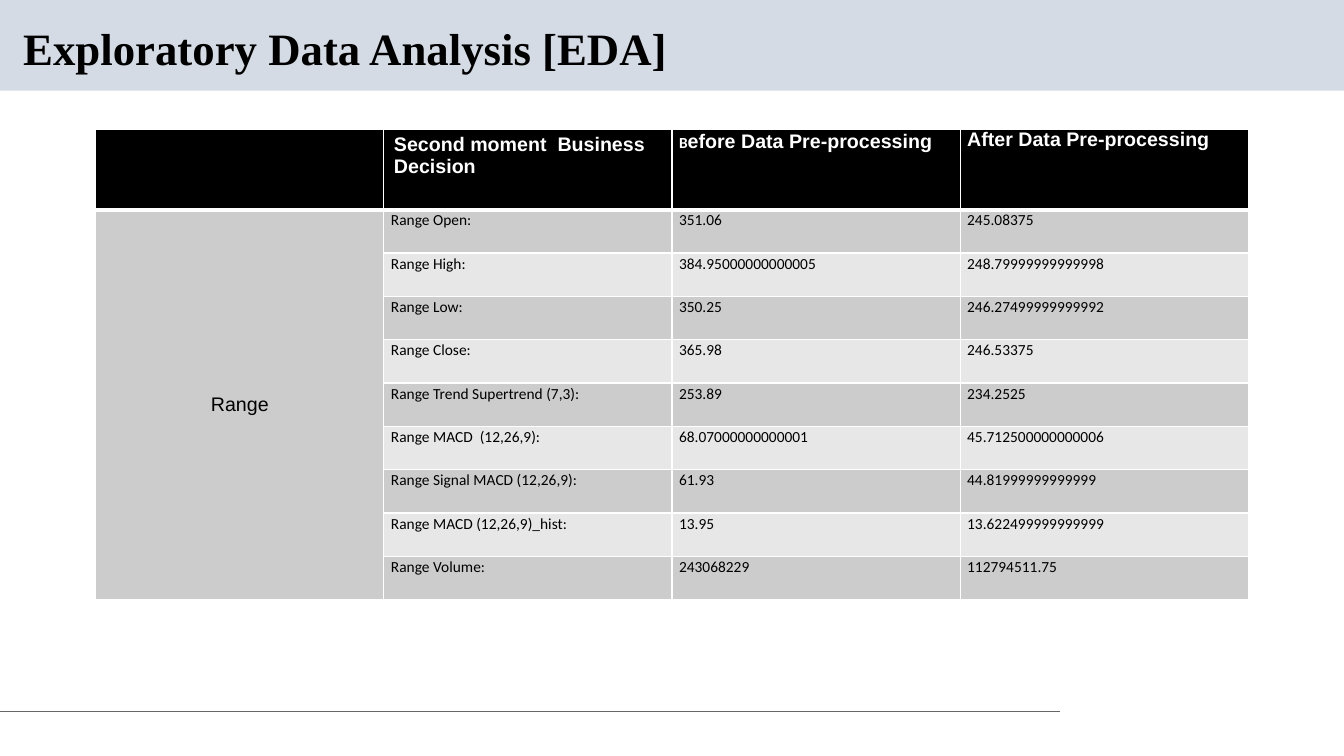
from lxml.etree import SubElement
from pptx import Presentation
from pptx.dml.color import RGBColor
from pptx.enum.shapes import MSO_CONNECTOR, MSO_SHAPE
from pptx.enum.text import MSO_ANCHOR, PP_ALIGN
from pptx.oxml.ns import qn
from pptx.util import Inches, Pt

BLACK = RGBColor(0x00, 0x00, 0x00)
WHITE = RGBColor(0xFF, 0xFF, 0xFF)
BAND = RGBColor(0xD5, 0xDB, 0xE5)
RULE = RGBColor(0x66, 0x66, 0x66)
ROW_FILLS = (RGBColor(0xCC, 0xCC, 0xCC), RGBColor(0xE7, 0xE7, 0xE7))

RANGES = [
    ("Range Open:", "351.06", "245.08375"),
    ("Range High:", "384.95000000000005", "248.79999999999998"),
    ("Range Low:", "350.25", "246.27499999999992"),
    ("Range Close:", "365.98", "246.53375"),
    ("Range Trend Supertrend (7,3):", "253.89", "234.2525"),
    ("Range MACD  (12,26,9):", "68.07000000000001", "45.712500000000006"),
    ("Range Signal MACD (12,26,9):", "61.93", "44.81999999999999"),
    ("Range MACD (12,26,9)_hist:", "13.95", "13.622499999999999"),
    ("Range Volume:", "243068229", "112794511.75"),
]


def add_run(p, text, size, font, color, bold=False):
    """Append one formatted run to a paragraph."""
    r = p.add_run()
    r.text = text
    r.font.size = Pt(size)
    r.font.name = font
    r.font.bold = bold
    r.font.color.rgb = color


def add_band(slide):
    """Place the title band behind everything else."""
    sp = slide.shapes.add_shape(MSO_SHAPE.RECTANGLE, 0, 0, Inches(13.33), Inches(0.9))
    sp.shadow.inherit = False
    sp.fill.solid()
    sp.fill.fore_color.rgb = BAND
    sp.line.fill.background()
    slide.shapes._spTree.insert(2, sp._element)


def add_footer_rule(slide):
    """Draw the thin line near the foot of the slide."""
    line = slide.shapes.add_connector(
        MSO_CONNECTOR.STRAIGHT, 0, Inches(7.06), Inches(10.51), Inches(7.06))
    line.line.color.rgb = RULE
    line.line.width = Pt(0.75)
    SubElement(line._element.spPr, qn("a:effectLst"))


def set_title(slide, text):
    """Move and fill the title placeholder."""
    title = slide.shapes.title
    title.left, title.top = Inches(0.13), Inches(0.21)
    title.width, title.height = Inches(10.11), Inches(0.59)
    tf = title.text_frame
    tf.word_wrap = True
    tf.vertical_anchor = MSO_ANCHOR.MIDDLE
    p = tf.paragraphs[0]
    p.alignment = PP_ALIGN.LEFT
    p.line_spacing = 0.9
    add_run(p, text, 32, "Times New Roman", BLACK, True)


def style_cell(cell, fill, top=1, bottom=1):
    """Give a cell white borders and a solid fill."""
    tc_pr = cell._tc.get_or_add_tcPr()
    for side, width in (("L", 1), ("R", 1), ("T", top), ("B", bottom)):
        ln = SubElement(tc_pr, qn(f"a:ln{side}"), w=str(Pt(width)))
        solid = SubElement(ln, qn("a:solidFill"))
        SubElement(solid, qn("a:srgbClr"), val=str(WHITE))
    cell.fill.solid()
    cell.fill.fore_color.rgb = fill


def write_cell(cell, runs, color, bold=False, tight=True, spaced=True):
    """Write (text, size, font) runs into a cell."""
    if tight:
        cell.margin_left = cell.margin_right = Inches(0.07)
        cell.margin_top = cell.margin_bottom = 0
    p = cell.text_frame.paragraphs[0]
    if spaced:
        p.line_spacing = 1.07
        p.space_after = Pt(8)
    for text, size, font in runs:
        add_run(p, text, size, font, color, bold)


def add_range_table(slide):
    """Build the table of ranges before and after pre-processing."""
    frame = slide.shapes.add_table(
        len(RANGES) + 1, 4, Inches(0.95), Inches(1.28), Inches(11.43), Inches(4.67))
    table = frame.table
    table.horz_banding = False
    for column in table.columns:
        column.width = Inches(11.43 / 4)
    for i, row in enumerate(table.rows):
        row.height = Inches(0.43 if i else 0.8)
        for cell in row.cells:
            if i:
                style_cell(cell, ROW_FILLS[(i - 1) % 2], top=3 if i == 1 else 1)
            else:
                style_cell(cell, BLACK, bottom=3)

    write_cell(table.cell(0, 1), [("Second moment  Business Decision", 14, "Arial")],
               WHITE, True, tight=False, spaced=False)
    write_cell(table.cell(0, 2),
               [("B", 11, "Calibri"), ("efore Data Pre-processing", 14, "Arial")],
               WHITE, True)
    write_cell(table.cell(0, 3), [("After Data Pre-processing", 14, "Arial")],
               WHITE, True, spaced=False)

    label = table.cell(1, 0)
    label.merge(table.cell(len(RANGES), 0))
    label.vertical_anchor = MSO_ANCHOR.MIDDLE
    write_cell(label, [("Range", 14, "Arial")], BLACK, tight=False, spaced=False)
    label.text_frame.paragraphs[0].alignment = PP_ALIGN.CENTER

    for i, values in enumerate(RANGES, 1):
        for j, value in enumerate(values, 1):
            write_cell(table.cell(i, j), [(value, 11, "Calibri")], BLACK)


def main():
    """Build and save the slide."""
    prs = Presentation()
    prs.slide_width, prs.slide_height = Inches(13.33), Inches(7.5)
    slide = prs.slides.add_slide(prs.slide_layouts[5])
    add_band(slide)
    add_footer_rule(slide)
    set_title(slide, "Exploratory Data Analysis [EDA]")
    add_range_table(slide)
    prs.save("out.pptx")


if __name__ == "__main__":
    main()
